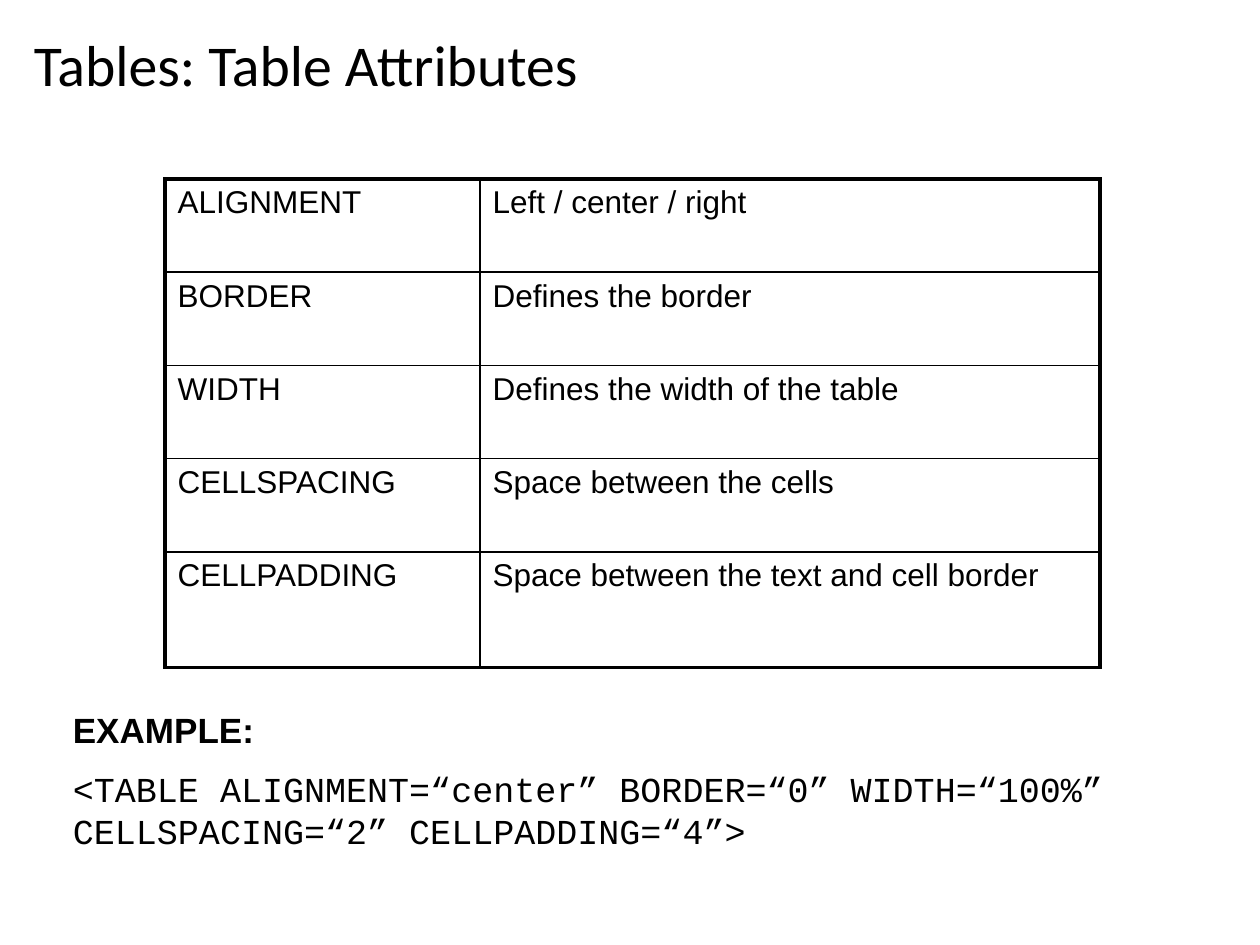
from typing import NamedTuple

from lxml.etree import SubElement
from pptx import Presentation
from pptx.dml.color import RGBColor
from pptx.enum.text import MSO_ANCHOR, MSO_AUTO_SIZE
from pptx.oxml.ns import qn
from pptx.util import Inches, Pt

COLORS = {"ink": "000000", "paper": "FFFFFF"}
THICK, THIN = 2.25, 1


class Attribute(NamedTuple):
    name: str
    meaning: str


ATTRIBUTES = [
    Attribute("ALIGNMENT", "Left / center / right"),
    Attribute("BORDER", "Defines the border"),
    Attribute("WIDTH", "Defines the width of the table"),
    Attribute("CELLSPACING", "Space between the cells"),
    Attribute("CELLPADDING", "Space between the text and cell border"),
]
COL_WIDTHS = [2.5, 4.92]
ROW_HEIGHTS = [0.74] * 4 + [0.92]


def write(p, text: str, *, size: float, font: str = "Arial",
          bold: bool = False, before: float = 0, spacing: float = 1) -> None:
    p.space_before = Pt(before)
    p.line_spacing = spacing
    r = p.add_run()
    r.text = text
    r.font.size = Pt(size)
    r.font.name = font
    r.font.bold = bold
    r.font.color.rgb = RGBColor.from_string(COLORS["ink"])


def add_text_frame(s, left: float, top: float, width: float, height: float):
    sp = s.shapes.add_textbox(Inches(left), Inches(top), Inches(width), Inches(height))
    tf = sp.text_frame
    tf.word_wrap = True
    return tf


def set_borders(cell, widths: dict[str, float]) -> None:
    tcPr = cell._tc.get_or_add_tcPr()
    for i, (side, width) in enumerate(widths.items()):
        ln = SubElement(tcPr, qn(f"a:ln{side}"), w=str(Pt(width)))
        fill = SubElement(ln, qn("a:solidFill"))
        SubElement(fill, qn("a:srgbClr"), val=COLORS["ink"])
        tcPr.remove(ln)
        tcPr.insert(i, ln)  # borders precede the cell fill


def add_attribute_table(s) -> None:
    rows, cols = len(ATTRIBUTES), len(COL_WIDTHS)
    table = s.shapes.add_table(
        rows, cols, Inches(1.31), Inches(1.42),
        Inches(sum(COL_WIDTHS)), Inches(sum(ROW_HEIGHTS))).table
    table.first_row = table.horz_banding = False
    for col, width in zip(table.columns, COL_WIDTHS):
        col.width = Inches(width)
    for i, (row, height, attribute) in enumerate(zip(table.rows, ROW_HEIGHTS, ATTRIBUTES)):
        row.height = Inches(height)
        for j, (cell, text) in enumerate(zip(row.cells, attribute)):
            cell.fill.solid()
            cell.fill.fore_color.rgb = RGBColor.from_string(COLORS["paper"])
            write(cell.text_frame.paragraphs[0], text, size=18)
            # Thick outer frame, thin inner grid
            outer = {"L": j == 0, "R": j == cols - 1, "T": i == 0, "B": i == rows - 1}
            set_borders(cell, {k: THICK if edge else THIN for k, edge in outer.items()})


prs = Presentation()
prs.slide_width, prs.slide_height = Inches(10), Inches(7.5)
s = prs.slides.add_slide(prs.slide_layouts[6])

# Title
tf = add_text_frame(s, 0.17, 0.24, 8.25, 0.6)
tf.vertical_anchor = MSO_ANCHOR.MIDDLE
write(tf.paragraphs[0], "Tables: Table Attributes", size=33, font="Calibri", spacing=0.9)

# Attribute table
add_attribute_table(s)

# Example markup
tf = add_text_frame(s, 0.48, 5.57, 9.08, 1.27)
tf.auto_size = MSO_AUTO_SIZE.SHAPE_TO_FIT_TEXT
write(tf.paragraphs[0], "EXAMPLE:", size=20, bold=True, before=10)
write(tf.add_paragraph(),
      "<TABLE ALIGNMENT=“center” BORDER=“0” WIDTH=“100%” "
      "CELLSPACING=“2” CELLPADDING=“4”>",
      size=20, font="Courier New", before=10)

prs.save("out.pptx")
